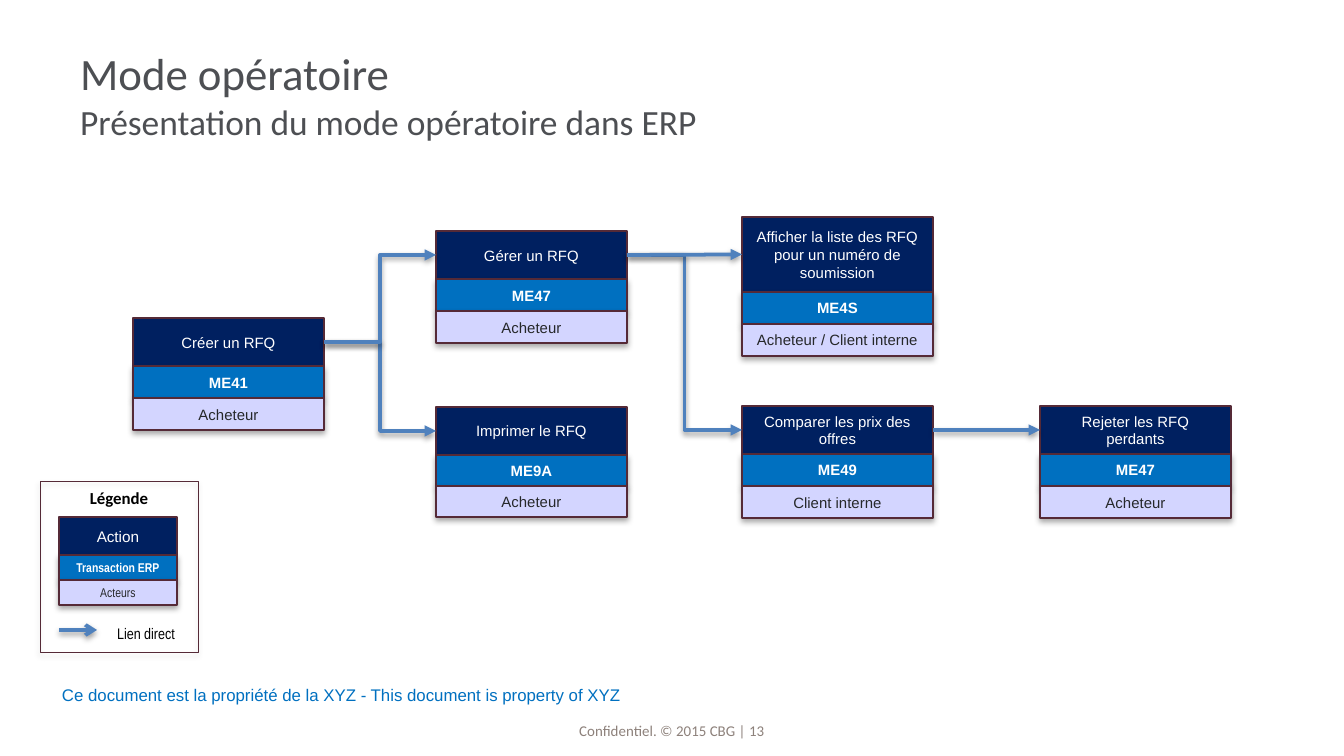
from lxml.etree import SubElement
from pptx import Presentation
from pptx.dml.color import RGBColor
from pptx.enum.shapes import MSO_CONNECTOR, MSO_SHAPE
from pptx.enum.text import MSO_ANCHOR, PP_ALIGN
from pptx.oxml.ns import qn
from pptx.util import Pt

PX = 914400 / 134.4
COLOURS = {
    "navy": "002060", "blue": "0070C0", "lilac": "D3D5FF", "border": "552A37",
    "arrow": "4F81BD", "white": "FFFFFF", "ink": "26282A", "black": "000000",
    "title": "4D4F53", "footer": "8D817B",
}
COLOURS = {name: RGBColor.from_string(value) for name, value in COLOURS.items()}


def write(box, spans, font, colour, bold=False, align=PP_ALIGN.CENTER, anchor=MSO_ANCHOR.MIDDLE):
    box.text_frame.word_wrap = True
    box.text_frame.vertical_anchor = anchor
    para = box.text_frame.paragraphs[0]
    para.alignment = align
    for index, (text, size) in enumerate(spans):
        if index:
            para.add_line_break()
        span = para.add_run()
        span.text = text
        span.font.name = font
        span.font.size = Pt(size)
        span.font.bold = bold
        span.font.color.rgb = COLOURS[colour]


def add_shadow(item, opacity, distance):
    properties = item._element.spPr
    effects = properties.find(qn("a:effectLst"))
    if effects is None:
        effects = SubElement(properties, qn("a:effectLst"))
    shadow = SubElement(effects, qn("a:outerShdw"), blurRad=str(Pt(3.1)),
                        dist=str(Pt(distance)), dir="5400000", rotWithShape="0")
    shade = SubElement(shadow, qn("a:srgbClr"), val="000000")
    SubElement(shade, qn("a:alpha"), val=str(opacity * 1000))


deck = Presentation()
deck.slide_width = round(1344 * PX)
deck.slide_height = round(756 * PX)
page = deck.slides.add_slide(deck.slide_layouts[6])

texts = [
    ((457, 716, 430, 23), [("Confidentiel. © 2015 CBG | 13", 8)],
     "Calibri", "footer", False, PP_ALIGN.CENTER, MSO_ANCHOR.BOTTOM),
    ((42, 679, 598, 32), [("Ce document est la propriété de la XYZ - This document is property of XYZ", 9)],
     "Arial", "blue", False, PP_ALIGN.CENTER, MSO_ANCHOR.MIDDLE),
    ((67, 31, 1210, 126), [("Mode opératoire", 24), ("Présentation du mode opératoire dans ERP", 19)],
     "Calibri", "title", False, PP_ALIGN.LEFT, MSO_ANCHOR.MIDDLE),
    ((103, 618, 86, 32), [("Lien direct", 8.2)],
     "Arial Narrow", "black", False, PP_ALIGN.CENTER, MSO_ANCHOR.TOP),
    ((40, 481, 158, 34), [("Légende", 9)],
     "Calibri", "black", True, PP_ALIGN.CENTER, MSO_ANCHOR.TOP),
]
for place, *style in texts:
    box = page.shapes.add_textbox(*(round(length * PX) for length in place))
    write(box, *style)
    if style[1] == "Calibri" and style[2] == "footer":
        frame = box.text_frame
        frame.margin_left = frame.margin_right = frame.margin_top = frame.margin_bottom = 0
    if style[0][0][0] == "Lien direct":
        box.text_frame.word_wrap = False

legend = page.shapes.add_shape(MSO_SHAPE.RECTANGLE, *(round(length * PX) for length in (40, 481, 158, 171)))
legend.shadow.inherit = False
legend.fill.background()
legend.line.color.rgb = COLOURS["border"]
legend.line.width = Pt(0.25)
add_shadow(legend, 35, 1.8)

normal = [(8, "Arial"), (8, "Arial"), (8, "Arial")]
small = [(8.2, "Arial"), (6.8, "Arial Narrow"), (6.8, "Arial Narrow")]
cards = {
    "create": (133, 318, 191, 48, 32, normal, ("Créer un RFQ", "ME41", "Acheteur")),
    "manage": (436, 231, 191, 48, 32, normal, ("Gérer un RFQ", "ME47", "Acheteur")),
    "print": (436, 407, 191, 48, 31, normal, ("Imprimer le RFQ", "ME9A", "Acheteur")),
    "list": (742, 217, 191, 75, 32, normal,
             ("Afficher la liste des RFQ pour un numéro de soumission", "ME4S", "Acheteur / Client interne")),
    "compare": (742, 406, 191, 48, 32, normal, ("Comparer les prix des offres", "ME49", "Client interne")),
    "reject": (1040, 406, 191, 48, 32, normal, ("Rejeter les RFQ perdants", "ME47", "Acheteur")),
    "legend": (59, 517, 118, 38, 25, small, ("Action", "Transaction ERP", "Acteurs")),
}
row_colours = [("navy", "white"), ("blue", "white"), ("lilac", "ink")]
headers = {}
for name, (left, top, width, header_height, row_height, fonts, labels) in cards.items():
    for row, (label, (size, font), (fill, ink)) in enumerate(zip(labels, fonts, row_colours)):
        height = row_height if row else header_height
        box = page.shapes.add_shape(MSO_SHAPE.RECTANGLE, *(round(n * PX) for n in (left, top, width, height)))
        box.shadow.inherit = False
        box.fill.solid()
        box.fill.fore_color.rgb = COLOURS[fill]
        box.line.color.rgb = COLOURS["border"]
        box.line.width = Pt(0.75)
        write(box, [(label, size)], font, ink, bold=row == 1)
        if row:
            add_shadow(box, 35, 1.8)
        else:
            headers[name] = box
        top += height

straight, elbow = MSO_CONNECTOR.STRAIGHT, MSO_CONNECTOR.ELBOW
links = [
    ("create", "print", elbow), ("create", "manage", elbow), ("manage", "compare", elbow),
    ("compare", "reject", straight), ("manage", "list", straight),
]
arrows = []
for source, target, kind in links:
    arrow = page.shapes.add_connector(kind, 0, 0, 0, 0)
    arrow.begin_connect(headers[source], 3)
    arrow.end_connect(headers[target], 1)
    arrows.append((arrow, "triangle"))
key_arrow = page.shapes.add_connector(straight, *(round(n * PX) for n in (59, 630, 97, 630)))
arrows.append((key_arrow, "arrow"))
for arrow, head in arrows:
    arrow.line.color.rgb = COLOURS["arrow"]
    arrow.line.width = Pt(2)
    SubElement(arrow.line._get_or_add_ln(), qn("a:tailEnd"), type=head)
    add_shadow(arrow, 38, 1.6)

deck.save("out.pptx")
